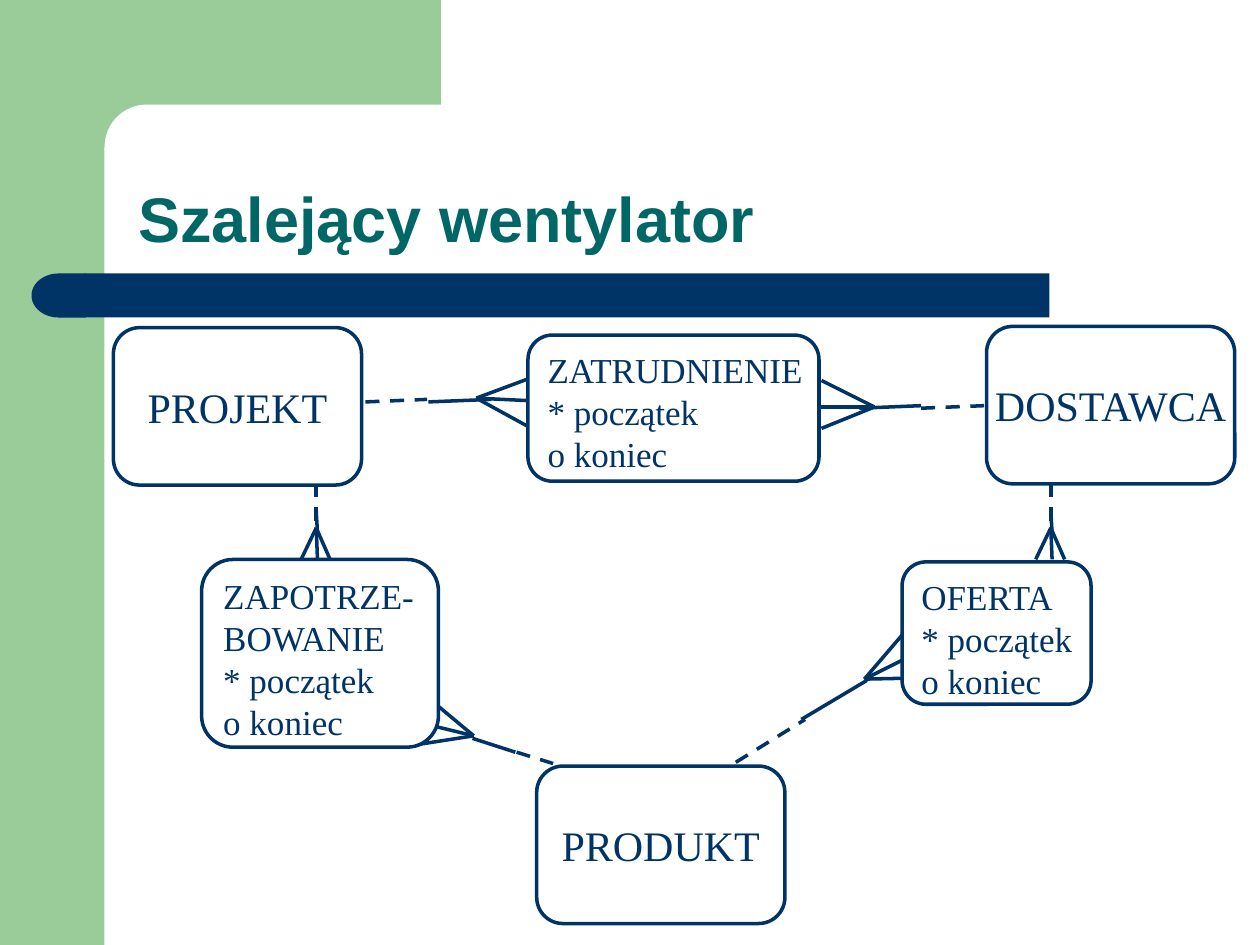
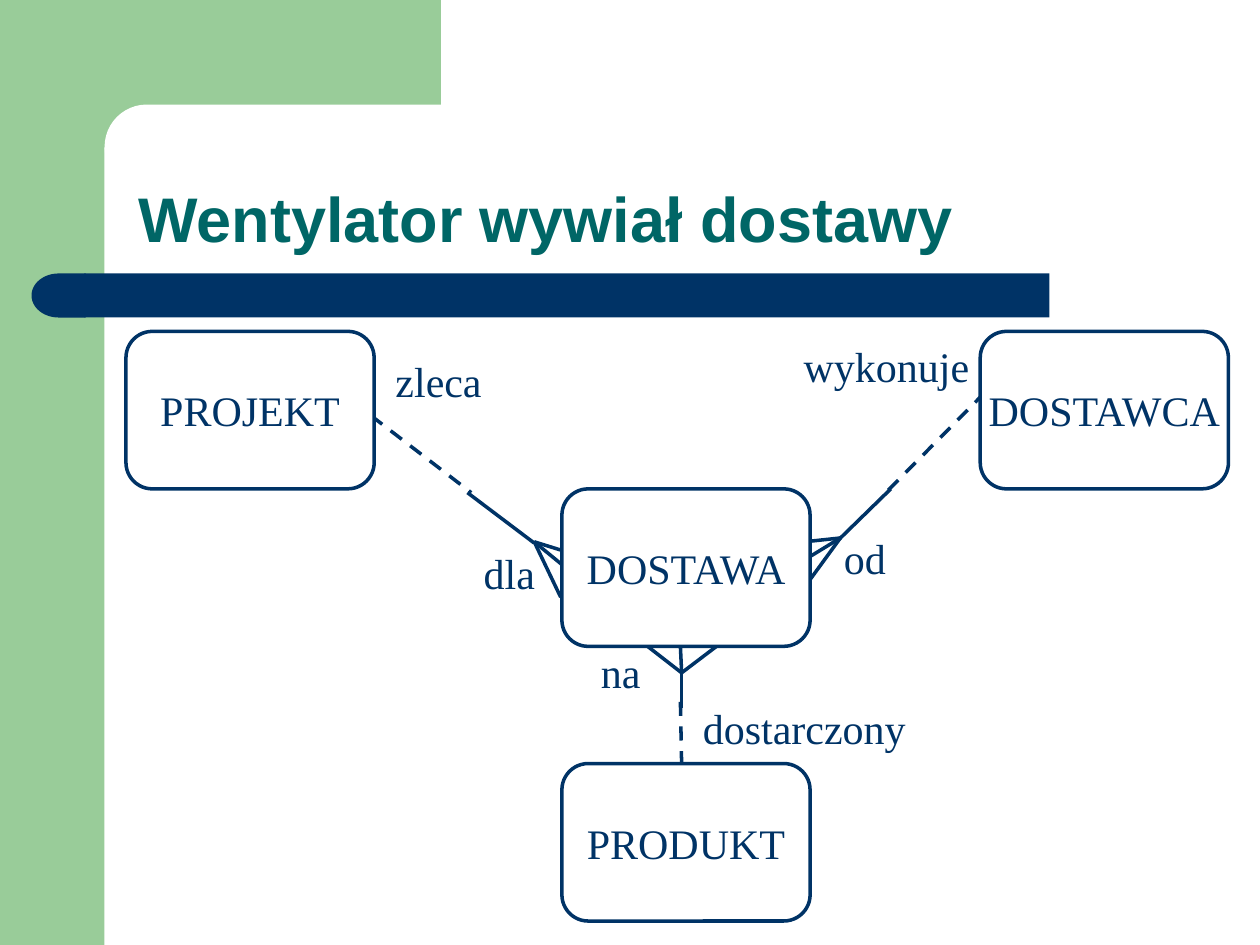
from dataclasses import dataclass

from lxml import etree
from pptx import Presentation
from pptx import util as u
from pptx.dml.color import RGBColor
from pptx.enum import dml, shapes, text
from pptx.oxml import ns

COLOURS = {"band": "99CC99", "ink": "003366", "title": "006666", "paper": "FFFFFF"}
TITLE_FONT, BODY_FONT = "Arial", "Times New Roman"
ENTITY_SIZE = (1.97, 1.25)
LABEL_HEIGHT = 0.5
PRESET = shapes.MSO_SHAPE

Point = tuple[float, float]
Segment = tuple[Point, Point]


@dataclass(frozen=True)
class Entity:
    """A named box; attributes turn it into a left-aligned list."""
    name: str
    corner: Point
    size: Point = ENTITY_SIZE
    attributes: tuple[str, ...] = ()


@dataclass(frozen=True)
class Link:
    """A crow's foot (tip and three toes) with a solid and a dashed part."""
    tip: Point
    toes: tuple[Point, Point, Point]
    solid: Segment
    dashed: Segment


@dataclass(frozen=True)
class Label:
    words: str
    corner: Point
    width: float


@dataclass(frozen=True)
class Diagram:
    title: str
    links: list[Link]
    entities: list[Entity]
    labels: list[Label]


def downward_link(x: float) -> Link:
    """The link from an upper box at x down to the box below it."""
    return Link(
        tip=(x, 4.19),
        toes=((x - 0.12, 4.44), (x + 0.01, 4.44), (x + 0.11, 4.44)),
        solid=((x, 4.06), (x + 0.01, 4.23)),
        dashed=((x, 3.83), (x, 4.14)),
    )


DATES = ("* początek", "o koniec")

DIAGRAMS = [
    Diagram(
        "Szalejący wentylator",
        links=[
            Link((3.78, 3.16), ((4.21, 3), (4.2, 3.18), (4.2, 3.39)),
                 ((3.4, 3.19), (3.9, 3.17)), ((2.9, 3.19), (3.39, 3.17))),
            Link((6.94, 3.23), ((6.52, 3.02), (6.52, 3.23), (6.52, 3.4)),
                 ((6.82, 3.24), (7.31, 3.22)), ((7.31, 3.24), (7.81, 3.22))),
            Link((3.76, 5.84), ((3.4, 5.54), (3.35, 5.74), (3.31, 5.91)),
                 ((3.75, 5.86), (4.09, 5.97)), ((4.1, 5.97), (4.39, 6.06))),
            Link((6.86, 5.39), ((7.16, 5.04), (7.24, 5.2), (7.33, 5.38)),
                 ((6.36, 5.71), (6.88, 5.4)), ((5.84, 6.05), (6.39, 5.71))),
            downward_link(2.51),
            downward_link(8.34),
        ],
        entities=[
            Entity("PROJEKT", (0.9, 2.6)),
            Entity("PRODUKT", (4.26, 6.08)),
            Entity("DOSTAWCA", (7.83, 2.59)),
            Entity("ZATRUDNIENIE", (4.19, 2.66), (2.31, 1.16), DATES),
            Entity("ZAPOTRZE-", (1.6, 4.44), (1.88, 1.49), ("BOWANIE", *DATES)),
            Entity("OFERTA", (7.16, 4.46), (1.5, 1.13), DATES),
        ],
        labels=[],
    ),
    Diagram(
        "Wentylator wywiał dostawy",
        links=[
            Link((4.24, 4.3), ((4.69, 4.44), (4.58, 4.58), (4.45, 4.74)),
                 ((3.71, 3.91), (4.24, 4.31)), ((2.79, 3.18), (3.74, 3.91))),
            Link((6.67, 4.27), ((6.2, 4.32), (6.31, 4.49), (6.4, 4.64)),
                 ((6.66, 4.28), (7.07, 3.88)), ((7.05, 3.89), (8, 2.93))),
            Link((5.41, 5.34), ((5.14, 5.13), (5.4, 5.13), (5.7, 5.12)),
                 ((5.41, 5.34), (5.41, 5.62)), ((5.4, 5.57), (5.41, 6.07))),
        ],
        entities=[
            Entity("DOSTAWA", (4.46, 3.88)),
            Entity("PRODUKT", (4.46, 6.06)),
            Entity("DOSTAWCA", (7.78, 2.63)),
            Entity("PROJEKT", (1, 2.63)),
        ],
        labels=[
            Label("dla", (3.74, 4.3), 0.63),
            Label("na", (4.67, 5.08), 0.54),
            Label("od", (6.6, 4.18), 0.56),
            Label("zleca", (3.04, 2.77), 0.91),
            Label("wykonuje", (6.28, 2.65), 1.54),
            Label("dostarczony", (5.48, 5.53), 1.84),
        ],
    ),
]


def colour(name: str) -> RGBColor:
    return RGBColor.from_string(COLOURS[name])


def inches(*lengths: float) -> list[u.Length]:
    return [u.Inches(length) for length in lengths]


def add_block(page, preset, area, fill: str, adjustment: float | None = None):
    """Add a filled shape without outline or shadow."""
    block = page.shapes.add_shape(preset, *inches(*area))
    block.shadow.inherit = False
    block.fill.solid()
    block.fill.fore_color.rgb = colour(fill)
    block.line.fill.background()
    if adjustment is not None:
        block.adjustments[0] = adjustment
    return block


def write(box, lines, size: int, font: str = BODY_FONT, ink: str = "ink",
          bold: bool = False, align=text.PP_ALIGN.LEFT) -> None:
    frame = box.text_frame
    frame.text = "\n".join(lines)
    for para in frame.paragraphs:
        para.alignment = align
        para.font.size = u.Pt(size)
        para.font.name = font
        para.font.bold = bold
        para.font.color.rgb = colour(ink)


def draw_background(page) -> None:
    add_block(page, PRESET.RECTANGLE, (0, 0, 0.83, 7.5), "band")
    add_block(page, PRESET.RECTANGLE, (0.75, 0, 2.75, 1.17), "band")
    add_block(page, PRESET.ROUNDED_RECTANGLE, (0.83, 0.83, 5.58, 0.67), "paper", 0.5)
    add_block(page, PRESET.RECTANGLE, (0.67, 2.17, 7.66, 0.35), "ink")
    bar_end = add_block(page, PRESET.FLOWCHART_DELAY, (0.25, 2.17, 0.43, 0.35), "ink")
    bar_end.rotation = 180


def draw_title(page, title: str) -> None:
    box = page.shapes.add_textbox(*inches(1, 0.83, 8.75, 1.25))
    box.text_frame.word_wrap = True
    box.text_frame.vertical_anchor = text.MSO_ANCHOR.BOTTOM
    write(box, [title], 36, TITLE_FONT, "title", bold=True)
    box.text_frame.paragraphs[0].line_spacing = 0.9


def draw_line(page, start: Point, end: Point, dashed: bool = False) -> None:
    line = page.shapes.add_connector(shapes.MSO_CONNECTOR.STRAIGHT, *inches(*start, *end))
    line.line.color.rgb = colour("ink")
    line.line.width = u.Pt(2)
    if dashed:
        line.line.dash_style = dml.MSO_LINE.DASH
    etree.SubElement(line.element.spPr, ns.qn("a:effectLst"))


def draw_link(page, link: Link) -> None:
    for toe in link.toes:
        draw_line(page, link.tip, toe)
    draw_line(page, *link.solid)
    draw_line(page, *link.dashed, dashed=True)


def draw_entity(page, entity: Entity) -> None:
    box = add_block(page, PRESET.ROUNDED_RECTANGLE, (*entity.corner, *entity.size),
                    "paper", 0.167)
    box.line.color.rgb = colour("ink")
    box.line.width = u.Pt(2)
    box.text_frame.word_wrap = False
    if entity.attributes:
        box.text_frame.vertical_anchor = text.MSO_ANCHOR.TOP
        write(box, [entity.name, *entity.attributes], 20)
    else:
        box.text_frame.vertical_anchor = text.MSO_ANCHOR.MIDDLE
        write(box, [entity.name], 24, align=text.PP_ALIGN.CENTER)


def draw_label(page, label: Label) -> None:
    box = page.shapes.add_textbox(*inches(*label.corner, label.width, LABEL_HEIGHT))
    box.text_frame.word_wrap = True
    write(box, [label.words], 24)


def draw_diagram(page, diagram: Diagram) -> None:
    draw_background(page)
    draw_title(page, diagram.title)
    for link in diagram.links:
        draw_link(page, link)
    for entity in diagram.entities:
        draw_entity(page, entity)
    for label in diagram.labels:
        draw_label(page, label)


def main() -> None:
    deck = Presentation()
    deck.slide_width, deck.slide_height = inches(10, 7.5)
    blank = deck.slide_layouts[6]
    for diagram in DIAGRAMS:
        draw_diagram(deck.slides.add_slide(blank), diagram)
    deck.save("out.pptx")


if __name__ == "__main__":
    main()
